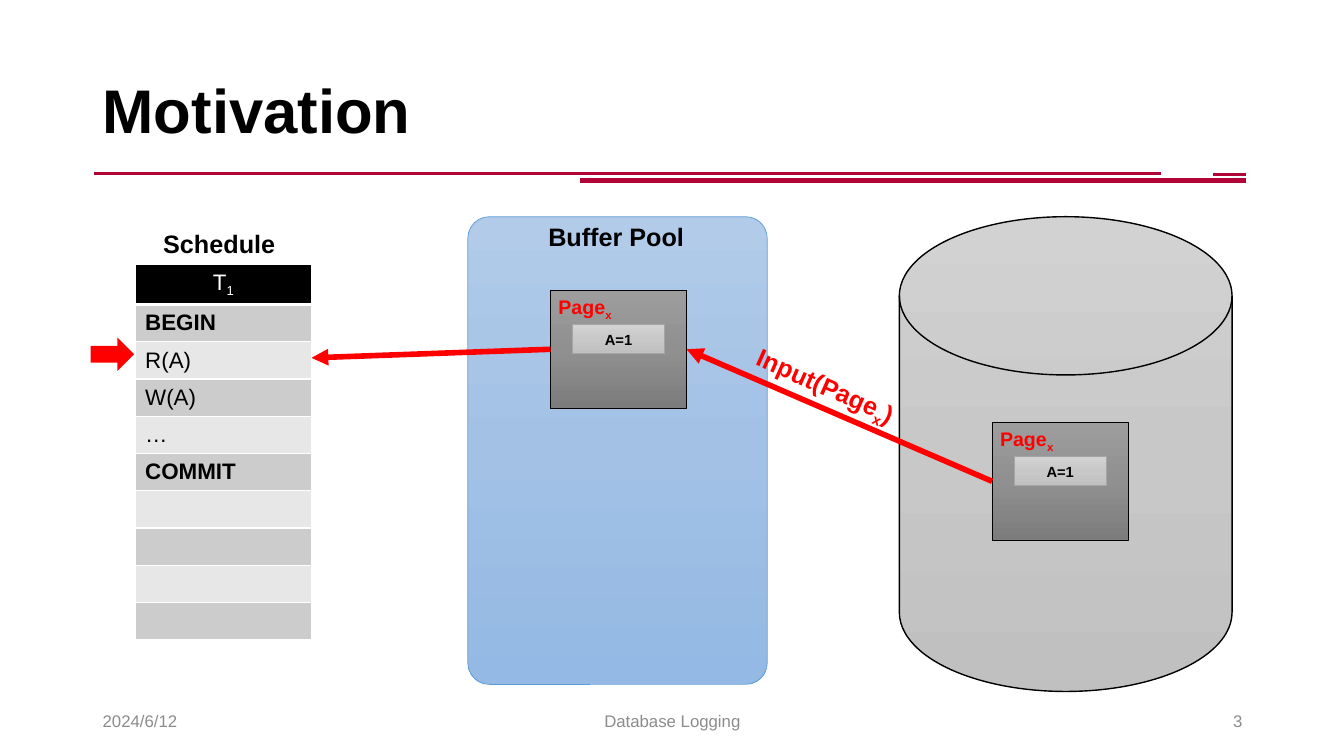
from copy import deepcopy

from pptx import Presentation
from pptx.dml.color import RGBColor
from pptx.enum.shapes import MSO_CONNECTOR, MSO_SHAPE
from pptx.enum.text import MSO_ANCHOR, PP_ALIGN
from pptx.oxml import parse_xml
from pptx.oxml.ns import nsdecls, qn
from pptx.util import Emu, Pt

SCALE = 9144  # EMU in one px, 100 px to the inch
FONT = "Arial"
COLORS = {
    "black": "000000", "white": "FFFFFF", "red": "FF0000", "crimson": "B20537",
    "footer": "8C8C8C", "pool_line": "5B9BD5", "record_line": "A5A5A5",
    "band_dark": "CCCCCC", "band_light": "E7E7E7",
}
GRADIENTS = {
    "silver": ("D2D2D2", "C8C8C8", "C0C0C0"),
    "pool": ("B1CBE9", "A3C1E5", "93B9E4"),
    "page": ("9D9D9D", "909090", "7C7C7C"),
}
SCHEDULE = ["BEGIN", "R(A)", "W(A)", "…", "COMMIT", "", "", "", ""]
KEYWORDS = ("BEGIN", "COMMIT")
LEFT_SIDE, RIGHT_SIDE = 1, 3


def px(*lengths):
    return [Emu(round(length * SCALE)) for length in lengths]


def color(name):
    return RGBColor.from_string(COLORS[name])


def write(paragraph, parts, size, ink="black", bold=False, align=PP_ALIGN.LEFT):
    """Write the parts in turn; every second one is a subscript."""
    paragraph.alignment = align
    for index, part in enumerate(parts):
        span = paragraph.add_run()
        span.text = part
        span.font.name = FONT
        span.font.size = Pt(size)
        span.font.bold = bold
        span.font.color.rgb = color(ink)
        if index % 2:
            span.font._element.set("baseline", "-25000")


def add_text(page, area, parts, size, wrap=False, anchor=MSO_ANCHOR.TOP, **style):
    box = page.shapes.add_textbox(*px(*area))
    box.text_frame.word_wrap = wrap
    box.text_frame.vertical_anchor = anchor
    write(box.text_frame.paragraphs[0], parts, size, **style)
    return box


def fill_gradient(shape, names):
    """Shade downwards through three evenly spaced colours."""
    shape.fill.gradient()
    shape.fill.gradient_angle = 270
    stop_list = shape._element.spPr.find(".//" + qn("a:gsLst"))
    middle = deepcopy(stop_list[0])
    middle.set("pos", "50000")
    stop_list.insert(1, middle)
    for stop, value in zip(shape.fill.gradient_stops, names):
        stop.color.rgb = RGBColor.from_string(value)


def add_shape(page, kind, area, gradient=None, line=None, width=0.5):
    shape = page.shapes.add_shape(kind, *px(*area))
    shape.shadow.inherit = False
    if gradient:
        fill_gradient(shape, GRADIENTS[gradient])
    if line:
        shape.line.color.rgb = color(line)
        shape.line.width = Pt(width)
    else:
        shape.line.fill.background()
    return shape


def add_line(page, start, end, ink, width, arrow=False):
    line = page.shapes.add_connector(MSO_CONNECTOR.STRAIGHT, *px(*start, *end))
    line.line.color.rgb = color(ink)
    line.line.width = Pt(width)
    if arrow:
        line.line._get_or_add_ln().append(
            parse_xml(f'<a:tailEnd {nsdecls("a")} type="triangle"/>'))
    line._element.spPr.append(parse_xml(f'<a:effectLst {nsdecls("a")}/>'))
    return line


def add_data_page(page, left, top):
    """A page holding the record A=1."""
    card = add_shape(page, MSO_SHAPE.RECTANGLE, (left, top, 135, 117), "page", "black")
    add_text(page, (left - 2, top, 74, 34), ["Page", "x"], 14, ink="red", bold=True)
    record = add_shape(page, MSO_SHAPE.RECTANGLE, (left + 22, top + 34, 91, 29),
                       "silver", "record_line")
    record.text_frame.vertical_anchor = MSO_ANCHOR.MIDDLE
    write(record.text_frame.paragraphs[0], ["A=1"], 10.5, bold=True,
          align=PP_ALIGN.CENTER)
    return card


def style_cell(cell, fill, bottom=1):
    borders = {"lnL": 1, "lnR": 1, "lnT": 1, "lnB": bottom}
    for tag, width in borders.items():
        cell._tc.get_or_add_tcPr().append(parse_xml(
            f'<a:{tag} {nsdecls("a")} w="{Pt(width)}"><a:solidFill>'
            f'<a:srgbClr val="{COLORS["white"]}"/></a:solidFill></a:{tag}>'))
    cell.fill.solid()
    cell.fill.fore_color.rgb = color(fill)
    cell.vertical_anchor = MSO_ANCHOR.MIDDLE
    cell.margin_top, cell.margin_bottom = px(3, 3)


def add_schedule(page, left, top, width, header_height=40, row_height=37):
    rows = len(SCHEDULE) + 1
    height = header_height + row_height * len(SCHEDULE)
    table = page.shapes.add_table(rows, 1, *px(left, top, width, height)).table
    for row in table.rows:
        row.height = px(row_height)[0]
    table.rows[0].height = px(header_height)[0]
    header = table.cell(0, 0)
    style_cell(header, "black", bottom=3)
    write(header.text_frame.paragraphs[0], ["T", "1"], 16, "white",
          align=PP_ALIGN.CENTER)
    for index, step in enumerate(SCHEDULE, start=1):
        cell = table.cell(index, 0)
        style_cell(cell, "band_dark" if index % 2 else "band_light")
        if step:
            write(cell.text_frame.paragraphs[0], [step], 16, bold=step in KEYWORDS)


def add_frame(page):
    # Rules below the title
    add_line(page, (93, 172), (1152, 172), "crimson", 2)
    add_line(page, (575, 179), (1236, 179), "crimson", 4)
    add_line(page, (1203, 173), (1236, 173), "crimson", 2)

    # Title
    title = add_text(page, (92, 40, 1150, 145), ["Motivation"], 44, wrap=True,
                     anchor=MSO_ANCHOR.MIDDLE, bold=True)
    title.text_frame.paragraphs[0].line_spacing = 0.9

    # Footer
    for left, width, words, align in (
            (92, 300, "2024/6/12", PP_ALIGN.LEFT),
            (442, 450, "Database Logging", PP_ALIGN.CENTER),
            (942, 300, "3", PP_ALIGN.RIGHT)):
        add_text(page, (left, 695, width, 40), [words], 12, wrap=True,
                 anchor=MSO_ANCHOR.MIDDLE, ink="footer", align=align)


def main():
    deck = Presentation()
    deck.slide_width, deck.slide_height = px(1333, 750)
    page = deck.slides.add_slide(deck.slide_layouts[6])
    add_frame(page)

    # Disk and buffer pool
    add_shape(page, MSO_SHAPE.FLOWCHART_MAGNETIC_DISK, (892, 215, 330, 471),
              "silver", "black", 1)
    pool = add_shape(page, MSO_SHAPE.ROUNDED_RECTANGLE, (464, 215, 297, 464),
                     "pool", "pool_line")
    pool.adjustments[0] = 0.072
    add_text(page, (534, 215, 156, 40), ["Buffer Pool"], 18, bold=True)

    # Schedule with its current step
    add_schedule(page, 134, 262, 175)
    add_text(page, (152, 222, 132, 40), ["Schedule"], 18, bold=True)
    pointer = add_shape(page, MSO_SHAPE.RIGHT_ARROW, (90, 335, 43, 33))
    pointer.fill.solid()
    pointer.fill.fore_color.rgb = color("red")

    # Page on disk and its copy in the pool
    disk_page = add_data_page(page, 984, 419)
    pool_page = add_data_page(page, 546, 288)

    # Data flow
    load = add_line(page, (984, 478), (681, 347), "red", 4, arrow=True)
    load.begin_connect(disk_page, LEFT_SIDE)
    load.end_connect(pool_page, RIGHT_SIDE)
    label = add_text(page, (736, 364, 173, 40), ["Input(Page", "x", ")"], 18,
                     ink="red", bold=True)
    label.rotation = 24
    read = add_line(page, (546, 347), (309, 355), "red", 4, arrow=True)
    read.begin_connect(pool_page, LEFT_SIDE)

    deck.save("out.pptx")


if __name__ == "__main__":
    main()
